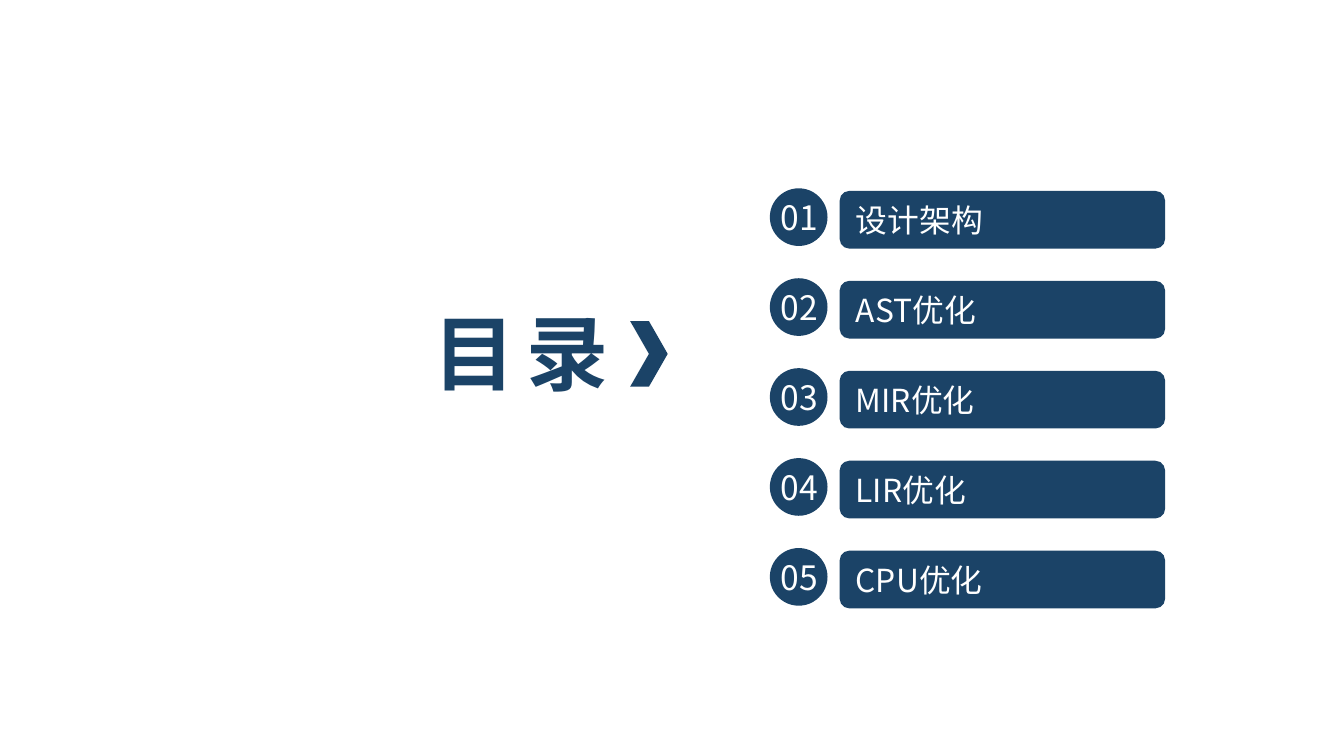
from pptx import Presentation
from pptx.dml.color import RGBColor
from pptx.enum.shapes import MSO_SHAPE
from pptx.enum.text import MSO_ANCHOR, PP_ALIGN
from pptx.oxml.ns import qn
from pptx.util import Cm, Pt

BAR = MSO_SHAPE.ROUNDED_RECTANGLE
DISC = MSO_SHAPE.OVAL
CHEVRON = MSO_SHAPE.CHEVRON
MIDDLE = MSO_ANCHOR.MIDDLE
LEFT, CENTER = PP_ALIGN.LEFT, PP_ALIGN.CENTER

FONT = "Noto Sans CJK SC"
COLORS = {"navy": "1B4367", "white": "FFFFFF"}
TOPICS = ["设计架构", "AST优化", "MIR优化", "LIR优化", "CPU优化"]
ROW_PITCH = 1.7
ROW_HEIGHT = 1.09


def color(name):
    return RGBColor.from_string(COLORS[name])


def write(holder, words, size, ink, align=LEFT, bold=False, spacing=None):
    frame = holder.text_frame
    frame.word_wrap = True
    frame.vertical_anchor = MIDDLE
    paragraph = frame.paragraphs[0]
    paragraph.alignment = align
    run = paragraph.add_run()
    run.text = words
    run.font.size = Pt(size)
    run.font.bold = bold
    run.font.name = FONT
    run.font.color.rgb = color(ink)
    properties = run.font._element
    east_asian = properties.makeelement(qn("a:ea"), {"typeface": FONT})
    properties.find(qn("a:latin")).addnext(east_asian)
    if spacing is not None:
        properties.set("spc", str(round(spacing * 100)))


def add_solid(shapes, kind, left, top, width, height):
    solid = shapes.add_shape(kind, Cm(left), Cm(top), Cm(width), Cm(height))
    solid.shadow.inherit = False
    solid.fill.solid()
    solid.fill.fore_color.rgb = color("navy")
    solid.line.fill.background()
    return solid


def add_heading(slide, left, top, width, height):
    title = slide.shapes.add_textbox(Cm(left), Cm(top), Cm(width), Cm(height))
    write(title, "目 录", 44, "navy", bold=True, spacing=-2.2)
    add_solid(slide.shapes, CHEVRON, left + 3.96, top + 0.48, 0.71, 1.24)


def add_topic(slide, number, topic, left, top, width):
    bar = add_solid(slide.shapes, BAR, left + 1.32, top + 0.05, width - 1.32, ROW_HEIGHT)
    write(bar, topic, 17, "white")
    badge = slide.shapes.add_group_shape()
    add_solid(badge.shapes, DISC, left, top, ROW_HEIGHT, ROW_HEIGHT)
    label = badge.shapes.add_textbox(Cm(left - 0.1), Cm(top + 0.03), Cm(1.32), Cm(1.02))
    write(label, f"{number:02d}", 18, "white", CENTER)


def add_contents(slide, left, top, width):
    for index, topic in enumerate(TOPICS):
        add_topic(slide, index + 1, topic, left, top + index * ROW_PITCH, width)


def main():
    deck = Presentation()
    deck.slide_width, deck.slide_height = Cm(25.4), Cm(14.29)
    slide = deck.slides.add_slide(deck.slide_layouts[6])
    slide.background.fill.solid()
    slide.background.fill.fore_color.rgb = color("white")
    add_heading(slide, 7.95, 5.59, 5.97, 2.13)
    add_contents(slide, 14.55, 3.56, 7.47)
    deck.save("out.pptx")


main()
